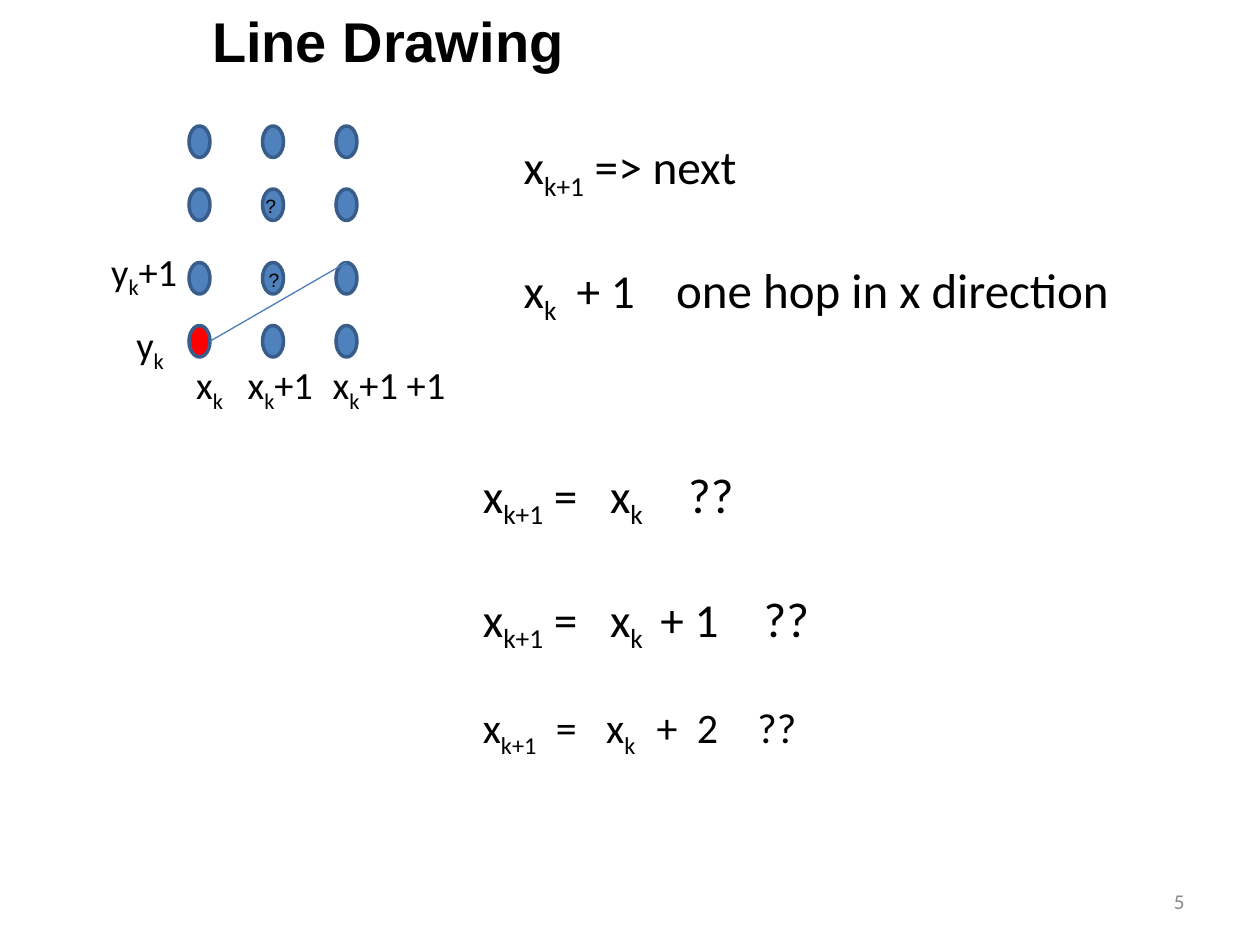
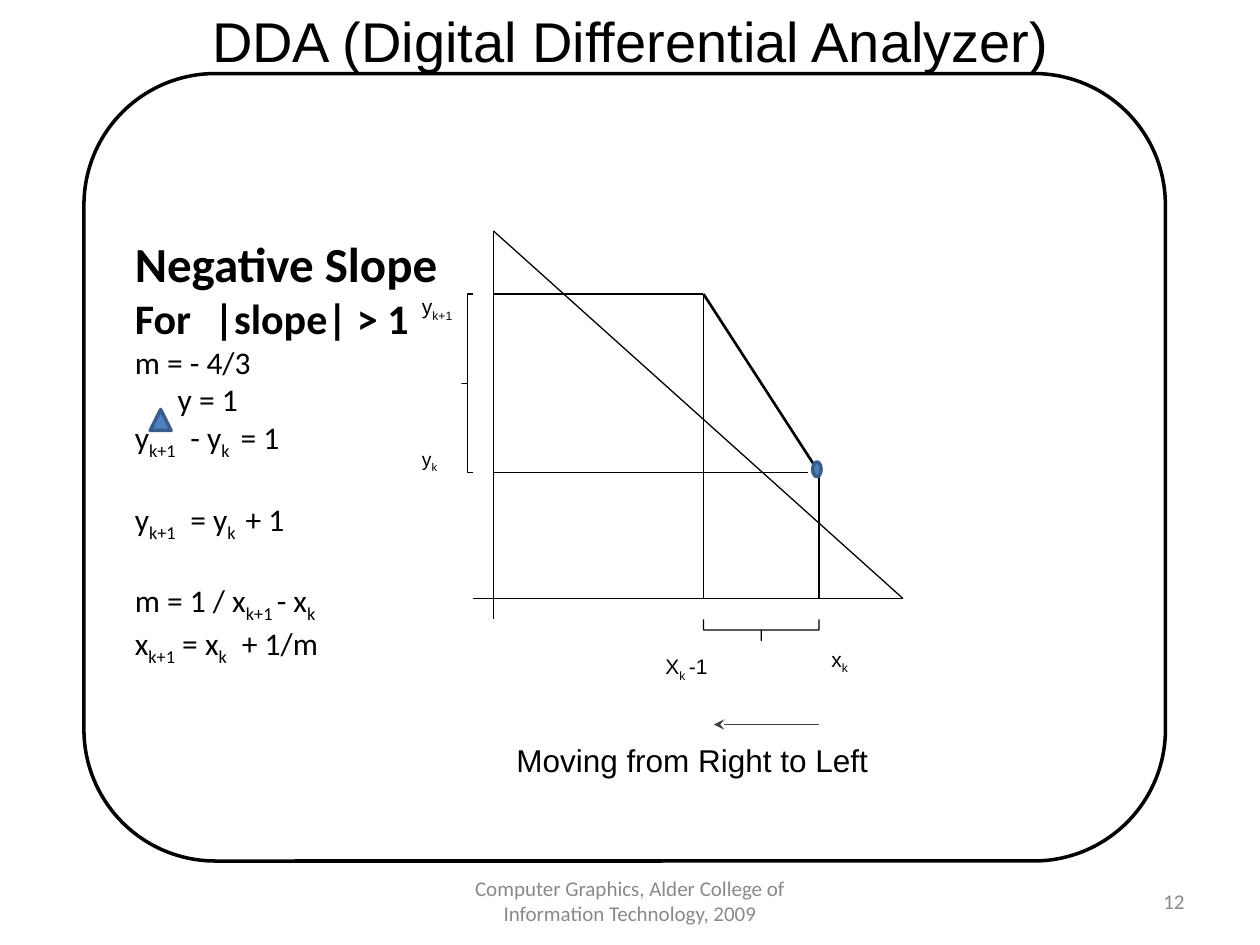
from dataclasses import dataclass
from itertools import product

from lxml import etree
from pptx import Presentation
from pptx.dml.color import RGBColor
from pptx.enum.shapes import MSO_CONNECTOR, MSO_SHAPE
from pptx.enum.text import MSO_ANCHOR, MSO_AUTO_SIZE, PP_ALIGN
from pptx.oxml.ns import qn
from pptx.util import Inches, Pt

STRAIGHT = MSO_CONNECTOR.STRAIGHT
OVAL, TRIANGLE = MSO_SHAPE.OVAL, MSO_SHAPE.ISOSCELES_TRIANGLE
ROUNDED, BRACE = MSO_SHAPE.ROUNDED_RECTANGLE, MSO_SHAPE.RIGHT_BRACE
TOP, MIDDLE = MSO_ANCHOR.TOP, MSO_ANCHOR.MIDDLE
LEFT, CENTER, RIGHT = PP_ALIGN.LEFT, PP_ALIGN.CENTER, PP_ALIGN.RIGHT
CELLS_PER_INCH = 12
TITLE_ONLY = 5
BLACK, BLUE, NAVY, RED = "000000", "4F81BD", "385D8A", "FF0000"
LINK_BLUE, ARROW_GREY, FOOTER_GREY = "4A7EBB", "404040", "898989"
HEADING_FONT, BODY_FONT = "Arial", "Calibri"


def rgb(hex_colour):
    """Turn a hex string into a colour."""
    return RGBColor.from_string(hex_colour)


def cells(count):
    """Turn grid cells into a length."""
    return Inches(count / CELLS_PER_INCH)


@dataclass
class Line:
    """A line of text: [ ] marks subscripts, tabs are in inches."""
    text: str
    size: float
    tabs: tuple = ()
    gap: float = 0
    tail_size: float = 0
    bold: bool = False


class Deck:
    """Hold the shared style and the slide being drawn."""

    def __init__(self):
        """Open a presentation with a grid of 120 columns and 90 rows."""
        self.presentation = Presentation()
        self.presentation.slide_width = cells(120)
        self.presentation.slide_height = cells(90)
        self.slide = None

    def start(self, title, width, number, bold=False):
        """Add a slide with its title and page number."""
        layout = self.presentation.slide_layouts[TITLE_ONLY]
        self.slide = self.presentation.slides.add_slide(layout)
        heading = self.slide.shapes.title
        heading.left, heading.top = cells(19), cells(0)
        heading.width, heading.height = cells(width), cells(7.7)
        self.fill_text(heading.text_frame, [Line(title, 32, bold=bold)], HEADING_FONT)
        self.footer(number, 86, 28, RIGHT)

    def footer(self, text, column, width, align):
        """Add a grey text at the foot of the slide."""
        self.text((column, 83.4, width, 4.8), [Line(text, 12)],
                  colour=FOOTER_GREY, align=align, anchor=MIDDLE)

    def fill_text(self, frame, lines, font=BODY_FONT, colour=BLACK, align=LEFT,
                  anchor=TOP, inset=0.05):
        """Fill a text frame with formatted lines."""
        frame.auto_size = MSO_AUTO_SIZE.NONE
        frame.word_wrap = True
        frame.vertical_anchor = anchor
        frame.margin_left = frame.margin_right = Inches(0.1)
        frame.margin_top = frame.margin_bottom = Inches(inset)
        for index, line in enumerate(lines):
            paragraph = frame.add_paragraph() if index else frame.paragraphs[0]
            paragraph.alignment = align
            paragraph.space_before = Pt(line.gap)
            self.set_tabs(paragraph, line.tabs)
            head, tab, tail = line.text.rpartition("\t")
            for part, size in ((head + tab, line.size), (tail, line.tail_size or line.size)):
                for order, piece in enumerate(part.replace("]", "[").split("[")):
                    if piece:
                        run = paragraph.add_run()
                        run.text = piece
                        run.font.size, run.font.name = Pt(size), font
                        run.font.bold = line.bold
                        run.font.color.rgb = rgb(colour)
                        if order % 2:
                            run.font._element.set("baseline", "-25000")

    @staticmethod
    def set_tabs(paragraph, stops):
        """Give a paragraph left tab stops."""
        if stops:
            tab_list = etree.SubElement(paragraph._p.get_or_add_pPr(), qn("a:tabLst"))
            for stop in stops:
                etree.SubElement(tab_list, qn("a:tab"), pos=str(Inches(stop)), algn="l")

    def text(self, box, lines, **style):
        """Add a text box."""
        frame = self.slide.shapes.add_textbox(*map(cells, box)).text_frame
        self.fill_text(frame, lines, **style)

    def label(self, column, row, width, text, size, font=HEADING_FONT):
        """Add a short label."""
        self.text((column, row, width, 3.6), [Line(text, size)], font=font)

    def shape(self, kind, box, fill=None, line=NAVY, weight=2, adjust=None, turn=0):
        """Add a preset shape."""
        shape = self.slide.shapes.add_shape(kind, *map(cells, box))
        shape.shadow.inherit = False
        shape.rotation = turn
        if fill:
            shape.fill.solid()
            shape.fill.fore_color.rgb = rgb(fill)
        else:
            shape.fill.background()
        shape.line.color.rgb = rgb(line)
        shape.line.width = Pt(weight)
        if adjust is not None:
            shape.adjustments[0] = adjust
        return shape

    def line(self, start, end, colour=BLACK, weight=0.75, arrow=False):
        """Add a straight line, with an arrowhead at its end if asked."""
        connector = self.slide.shapes.add_connector(
            STRAIGHT, *map(cells, (*start, *end)))
        connector.line.color.rgb = rgb(colour)
        connector.line.width = Pt(weight)
        if arrow:
            etree.SubElement(connector.line._get_or_add_ln(), qn("a:tailEnd"), type="stealth")
        etree.SubElement(connector._element.spPr, qn("a:effectLst"))
        return connector


def draw_pixel_choice(deck):
    """Draw the slide on choosing the next pixel."""
    deck.start("Line Drawing", 36.2, "5", bold=True)
    columns, rows = (18, 25, 32), (12, 18, 25, 31)
    pixels = {}
    for column, row in product(columns, rows):
        current = (column, row) == (columns[0], rows[-1])
        pixels[column, row] = deck.shape(
            OVAL, (column, row, 2, 3), RED if current else BLUE)
    ideal_line = deck.line((20, 32.5), (33, 25), LINK_BLUE)
    ideal_line.end_connect(pixels[columns[2], rows[2]], 0)

    for column, row in ((24.1, 17.9), (24.4, 25)):
        deck.label(column, row, 3.5, "?", 11)
    for column, row, width, text in (
            (9.4, 23, 12.1, "y[k]+1"), (11.8, 30, 5.3, "y[k]"),
            (17.5, 33.8, 6.7, "x[k]"), (22.4, 33.8, 13.3, "x[k]+1"),
            (30.5, 33.8, 13.3, "x[k]+1 +1")):
        deck.label(column, row, width, text, 22, BODY_FONT)

    deck.text((48.7, 11.9, 62.8, 20.3), [
        Line("x[k+1] => next", 27),
        Line("x[k]\t+ 1\tone hop in x direction", 27, (0.42, 1.21), 33, 28),
    ], inset=0.1)
    deck.text((44.8, 43, 39.4, 20.3), [
        Line("x[k+1] =\tx[k]\t??", 27, (1.01, 1.63), 0, 28),
        Line("x[k+1] =\tx[k]\t+ 1\t??", 27, (1.01, 1.41, 2.23), 33, 28),
        Line("x[k+1]\t=\tx[k]\t+\t2\t??", 24, (0.58, 0.98, 1.38, 1.7, 2.18), 27),
    ], inset=0.1)


def draw_negative_slope(deck):
    """Draw the slide on the analyzer with a steep negative slope."""
    deck.start("DDA (Digital Differential Analyzer)", 82.8, "12")
    deck.footer("Computer Graphics, Alder College of Information Technology, 2009",
                41, 38, CENTER)

    derivation = deck.shape(ROUNDED, (8, 7, 103, 75), line=BLACK, adjust=0.167).text_frame
    deck.fill_text(derivation, [
        Line("Negative Slope", 28, bold=True),
        Line("For\t|slope| > 1", 24, (0.63,), bold=True),
        Line("m = - 4/3", 18),
        Line("\ty = 1", 18, (0.34,)),
        Line("y[k+1]\t- y[k]\t= 1", 18, (0.44, 0.84)),
        Line("y[k+1]\t= y[k]\t+ 1", 18, (0.44, 0.88), 22),
        Line("m = 1 / x[k+1 ]- x[k]", 18, gap=22),
        Line("x[k+1] = x[k]\t+ 1/m", 18, (0.85,)),
    ], anchor=MIDDLE)
    derivation.margin_bottom = Inches(0.32)
    deck.shape(TRIANGLE, (14.3, 39, 2, 2), BLUE)

    axis_x, axis_y = 47, 57
    next_x, next_y = 67, 28
    current_x, current_y = 78, 45
    for start, end in (
            ((axis_x, 22), (axis_x, 59)), ((45, axis_y), (86, axis_y)),
            ((axis_x, 22), (86, axis_y)),
            ((next_x, next_y), (next_x, axis_y)),
            ((current_x, current_y), (current_x, axis_y)),
            ((axis_x, current_y), (77, current_y)),
            ((axis_x, next_y), (next_x, next_y))):
        deck.line(start, end)
    deck.line((next_x, next_y), (current_x, current_y), weight=1.5)
    deck.shape(BRACE, (71.5, 54.5, 2, 11), None, BLACK, 0.75, 0.003, 90)
    deck.shape(BRACE, (44, next_y, 1, 17), None, BLACK, 0.75, 0.001, 180)
    deck.shape(OVAL, (77.4, 44, 0.8, 1.4), BLUE)

    for column, row, width, text, size in (
            (39, 27.4, 5.7, "y[k+1]", 12), (39, 42, 4, "y[k]", 11),
            (78, 61, 11, "x[k]", 12), (62.2, 61.7, 10.8, "X[k ]-1", 12),
            (48, 70, 42, "Moving from Right to Left", 18)):
        deck.label(column, row, width, text, size)
    deck.line((current_x, 69), (68, 69), ARROW_GREY, arrow=True)


def main():
    """Build and save the slides."""
    deck = Deck()
    draw_pixel_choice(deck)
    draw_negative_slope(deck)
    deck.presentation.save("out.pptx")


if __name__ == "__main__":
    main()
